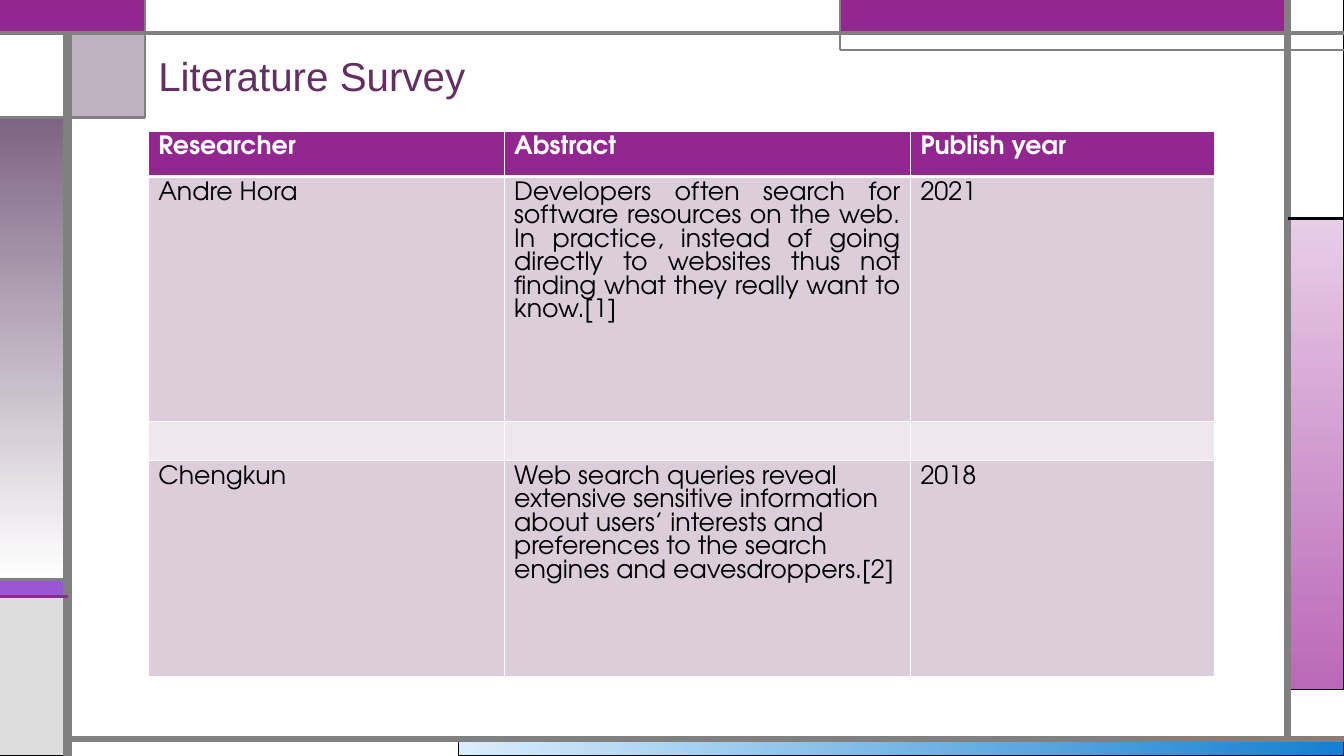
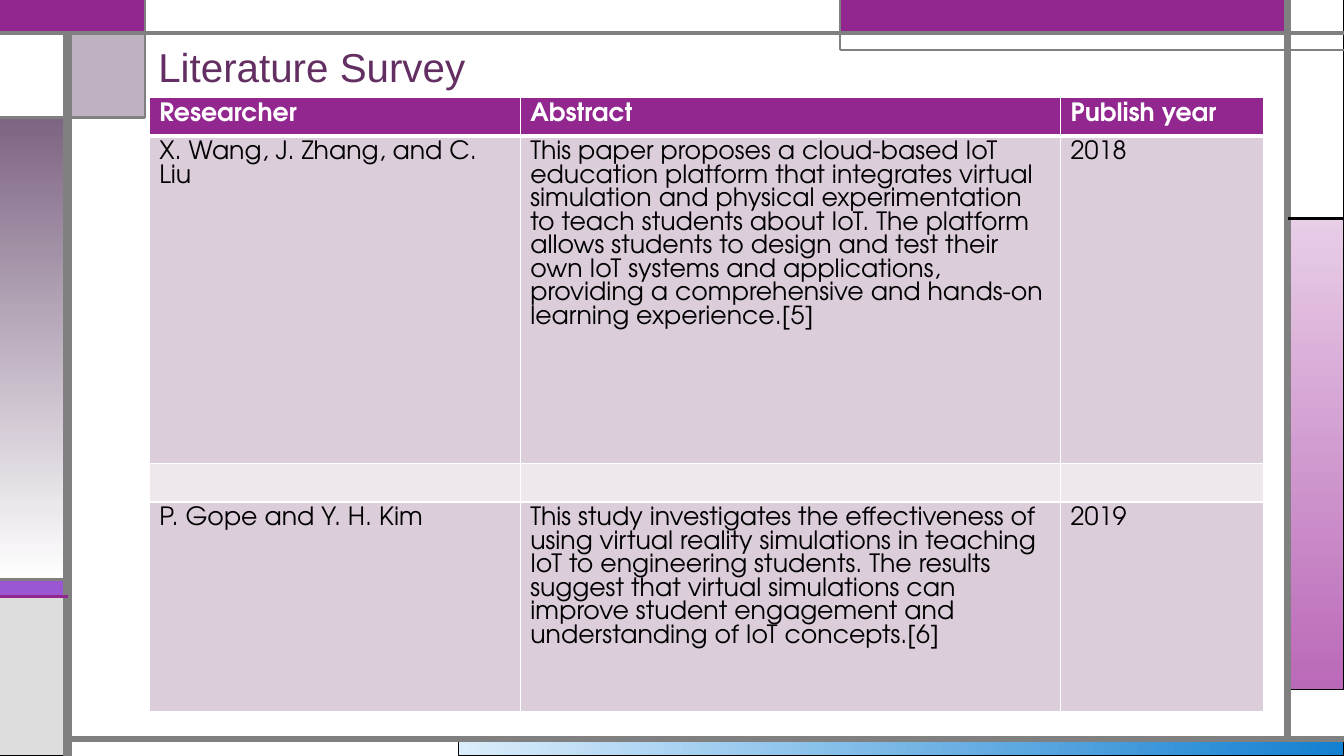
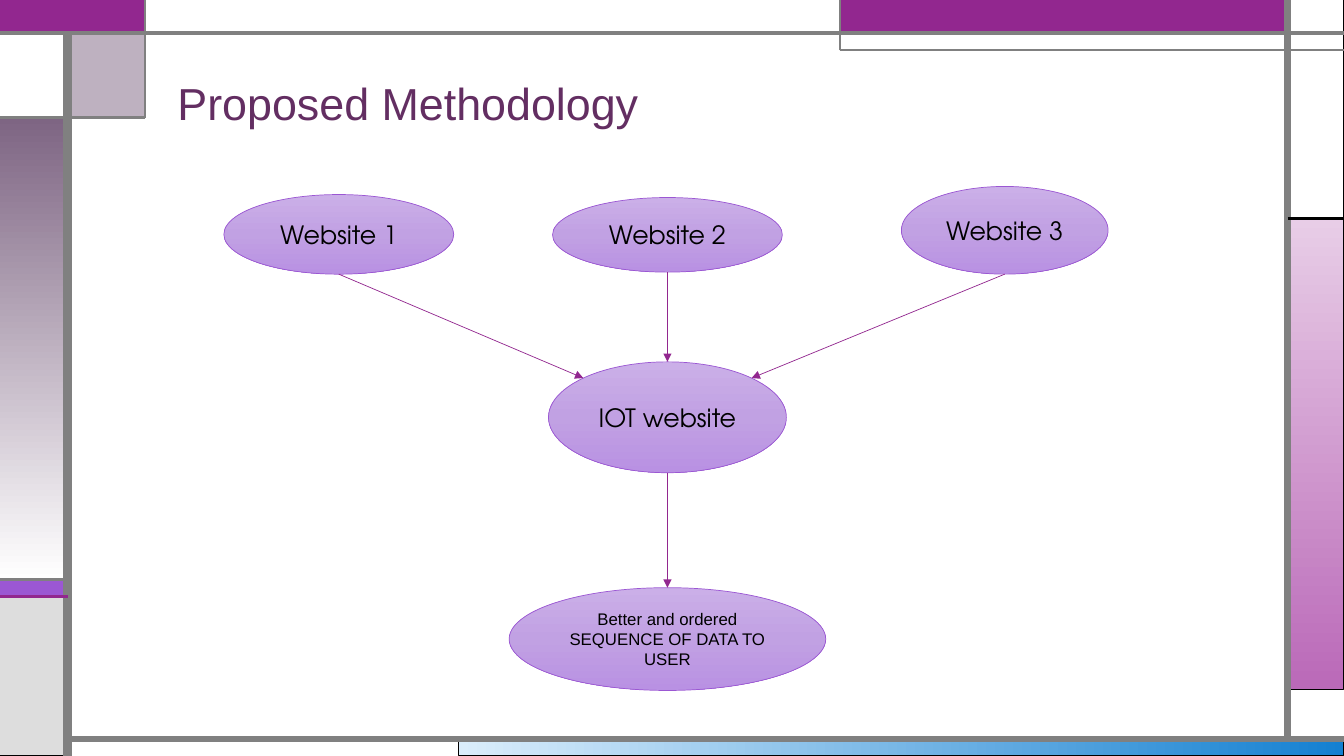
from math import cos, pi, sin

from lxml.etree import SubElement
from pptx import Presentation
from pptx.dml.color import RGBColor
from pptx.enum.shapes import MSO_CONNECTOR as Connector, MSO_SHAPE as Shape
from pptx.enum.text import MSO_ANCHOR as Anchor, MSO_AUTO_SIZE as AutoSize, PP_ALIGN as Align
from pptx.oxml.ns import qn
from pptx.util import Inches, Pt

# Colours
BLACK = RGBColor(0x00, 0x00, 0x00)
WHITE = RGBColor(0xFF, 0xFF, 0xFF)
GREY = RGBColor(0x80, 0x80, 0x80)
LIGHT_GREY = RGBColor(0xDD, 0xDD, 0xDD)
PURPLE = RGBColor(0x92, 0x27, 0x8F)
VIOLET = RGBColor(0x9B, 0x57, 0xD3)
INDIGO = RGBColor(0x75, 0x5D, 0xD9)
MAUVE = RGBColor(0x7E, 0x65, 0x83)
PLUM = RGBColor(0x63, 0x2E, 0x62)
ROW_DARK = RGBColor(0xDC, 0xCD, 0xDB)
ROW_LIGHT = RGBColor(0xEE, 0xE8, 0xEE)
BLUES = [RGBColor(0xDA, 0xED, 0xFB), RGBColor(0x14, 0x80, 0xD1)]
PINKS = [RGBColor(0xE8, 0xCD, 0xE7), RGBColor(0xBA, 0x69, 0xB8)]
LILACS = [RGBColor(0xCB, 0xAF, 0xE8), RGBColor(0xC1, 0xA1, 0xE3), RGBColor(0xB9, 0x91, 0xE3)]

# Fonts
TITLE_FONT = "Arial"
BODY_FONT = "TeX Gyre Adventor"

# Grid of the frame, in inches
WIDTH, HEIGHT = 13.33, 7.5
LEFT, CORNER, SPLIT, RIGHT = 0.67, 1.44, 8.33, 12.77
TOP, SHELF, CORNER_END, BOTTOM = 0.33, 0.5, 1.17, 7.33
RIGHT_BREAK, STRIPE_TOP, STRIPE_END = 2.17, 5.75, 5.92

# Connection sites of an oval, numbered anticlockwise from the top
OVAL_TOP, OVAL_TOP_LEFT, OVAL_BOTTOM, OVAL_TOP_RIGHT = 0, 1, 4, 7

HEADINGS = ["Researcher", "Abstract", "Publish year"]


def style_font(font, name, size, colour, bold=False):
    font.name, font.size, font.bold = name, Pt(size), bold
    font.color.rgb = colour


def fill_gradient(shape, colours, angle):
    """Spread the colours evenly; the angle is clockwise in degrees."""
    shape.fill.gradient()
    gradient = shape.element.spPr.find(qn("a:gradFill"))
    gradient.find(qn("a:lin")).set("ang", str(angle * 60000))
    stops = gradient.find(qn("a:gsLst"))
    for stop in list(stops):
        stops.remove(stop)
    for index, colour in enumerate(colours):
        position = index * 100000 // (len(colours) - 1)
        stop = SubElement(stops, qn("a:gs"), pos=str(position))
        SubElement(stop, qn("a:srgbClr"), val=str(colour))


def add_panel(slide, x1, y1, x2, y2, fill, line=BLACK, weight=0.75, angle=90, alpha=None):
    """Frame rectangle between two corners; a list as fill is a gradient."""
    panel = slide.shapes.add_shape(
        Shape.RECTANGLE, Inches(x1), Inches(y1), Inches(x2 - x1), Inches(y2 - y1))
    panel.shadow.inherit = False
    if isinstance(fill, list):
        fill_gradient(panel, fill, angle)
    else:
        panel.fill.solid()
        panel.fill.fore_color.rgb = fill
    if alpha is not None:
        colour = panel.element.spPr.find(qn("a:solidFill")).find(qn("a:srgbClr"))
        SubElement(colour, qn("a:alpha"), val=str(alpha * 1000))
    panel.line.color.rgb = line
    panel.line.width = Pt(weight)


def add_line(slide, start, end, colour, weight):
    """Straight line between two points given as lengths."""
    line = slide.shapes.add_connector(Connector.STRAIGHT, *start, *end)
    line.line.color.rgb = colour
    line.line.width = Pt(weight)
    SubElement(line.element.spPr, qn("a:effectLst"))
    return line


def draw_frame(slide):
    # Panels, from back to front
    add_panel(slide, 4.55, BOTTOM, WIDTH, HEIGHT, BLUES, angle=0)
    add_panel(slide, RIGHT, RIGHT_BREAK, WIDTH, 6.84, PINKS)
    add_panel(slide, 0, STRIPE_TOP, LEFT, STRIPE_END, VIOLET)
    add_panel(slide, 0, STRIPE_END, LEFT, HEIGHT, LIGHT_GREY)
    add_panel(slide, RIGHT, 0, WIDTH, RIGHT_BREAK, WHITE)
    add_panel(slide, SPLIT, 0, RIGHT, TOP, PURPLE, INDIGO)
    add_panel(slide, LEFT, TOP, CORNER, CORNER_END, MAUVE, alpha=50)
    add_panel(slide, 0, CORNER_END, LEFT, STRIPE_TOP, [MAUVE, WHITE])
    add_panel(slide, 0, TOP, LEFT, CORNER_END, WHITE)
    add_panel(slide, 0, 0, CORNER, TOP, PURPLE, PURPLE, 1.5)
    add_panel(slide, CORNER, 0, SPLIT, TOP, WHITE, GREY)

    # Bars
    for x1, y1, x2, y2, colour, weight in [
        (LEFT, HEIGHT, LEFT, TOP, GREY, 6),
        (LEFT, BOTTOM, WIDTH, BOTTOM, GREY, 4.5),
        (RIGHT, BOTTOM, RIGHT, 0, GREY, 4.5),
        (0, TOP, WIDTH, TOP, GREY, 3),
        (WIDTH, SHELF, SPLIT, SHELF, GREY, 1.5),
        (SPLIT, SHELF, SPLIT, 0, GREY, 1.5),
        (RIGHT, RIGHT_BREAK, WIDTH, RIGHT_BREAK, BLACK, 2.25),
        (CORNER, 0, CORNER, CORNER_END, GREY, 1.5),
        (CORNER, CORNER_END, 0, CORNER_END, GREY, 2.25),
        (LEFT, STRIPE_TOP, 0, STRIPE_TOP, GREY, 2.25),
        (LEFT, STRIPE_END, 0, STRIPE_END, PURPLE, 2.25),
    ]:
        add_line(slide, (Inches(x1), Inches(y1)), (Inches(x2), Inches(y2)), colour, weight)


def move_frame_to_layout(slide, layout):
    """Draw the frame and hand it to the layout, so that every slide shows it."""
    for holder in list(layout.placeholders):
        if holder.placeholder_format.idx != 0:
            holder.element.getparent().remove(holder.element)
    draw_frame(slide)
    for shape in list(slide.shapes):
        if not shape.is_placeholder:
            layout.shapes.element.append(shape.element)


def set_title(slide, text, left, top, width, height, size):
    title = slide.shapes.title
    title.left, title.top = Inches(left), Inches(top)
    title.width, title.height = Inches(width), Inches(height)
    frame = title.text_frame
    frame.text = text
    frame.auto_size = AutoSize.NONE
    frame.vertical_anchor = Anchor.BOTTOM
    para = frame.paragraphs[0]
    para.alignment = Align.LEFT
    para.line_spacing = 0.9
    style_font(para.runs[0].font, TITLE_FONT, size, PLUM)


def set_borders(cell, bottom):
    properties = cell._tc.get_or_add_tcPr()
    for index, (side, weight) in enumerate(
            [("lnL", 1), ("lnR", 1), ("lnT", 1), ("lnB", bottom)]):
        edge = SubElement(properties, qn("a:" + side), w=str(Pt(weight)))
        SubElement(SubElement(edge, qn("a:solidFill")), qn("a:srgbClr"), val=str(WHITE))
        properties.insert(index, edge)


def format_cell(cell, text, row):
    header = row == 0
    cell.text = text
    cell.fill.solid()
    cell.fill.fore_color.rgb = PURPLE if header else ROW_DARK if row % 2 else ROW_LIGHT
    set_borders(cell, 3 if header else 1)
    para = cell.text_frame.paragraphs[0]
    for span in para.runs:
        style_font(span.font, BODY_FONT, 18, WHITE if header else BLACK, header)
    if not text:
        end = SubElement(para._p, qn("a:endParaRPr"), sz="1800")
        SubElement(end, qn("a:latin"), typeface=BODY_FONT)


def add_survey_table(slide, left, top, columns, heights, papers):
    """Two papers with an empty row between them."""
    rows = [HEADINGS, papers[0], [""] * len(HEADINGS), papers[1]]
    table = slide.shapes.add_table(
        len(rows), len(columns), Inches(left), Inches(top),
        Inches(sum(columns)), Inches(sum(heights))).table
    table.horz_banding = False
    for column, width in zip(table.columns, columns):
        column.width = Inches(width)
    for row, height in zip(table.rows, heights):
        row.height = Inches(height)
    for r, texts in enumerate(rows):
        for c, text in enumerate(texts):
            format_cell(table.cell(r, c), text, r)
    return table


def add_node(slide, text, left, top, width, height, font=BODY_FONT, size=18):
    node = slide.shapes.add_shape(
        Shape.OVAL, Inches(left), Inches(top), Inches(width), Inches(height))
    node.shadow.inherit = False
    fill_gradient(node, LILACS, 90)
    node.line.color.rgb = VIOLET
    node.line.width = Pt(0.5)
    frame = node.text_frame
    frame.text = text
    frame.word_wrap = True
    frame.vertical_anchor = Anchor.MIDDLE
    para = frame.paragraphs[0]
    para.alignment = Align.CENTER
    style_font(para.runs[0].font, font, size, BLACK)
    return node


def oval_site(node, site):
    """Point on the outline; the eight sites are 45 degrees apart."""
    angle = site * pi / 4
    return (round(node.left + node.width / 2 * (1 - sin(angle))),
            round(node.top + node.height / 2 * (1 - cos(angle))))


def add_arrow(slide, source, target, target_site):
    """Arrow from the bottom of one oval to a site of another, joined to both."""
    arrow = add_line(slide, oval_site(source, OVAL_BOTTOM),
                     oval_site(target, target_site), PURPLE, 0.5)
    SubElement(arrow.line._get_or_add_ln(), qn("a:tailEnd"), type="triangle")
    # The public connect methods know only the four sites of a rectangle
    arrow._connect_begin_to(source, OVAL_BOTTOM)
    arrow._connect_end_to(target, target_site)


def build_search_survey(slide):
    set_title(slide, "Literature Survey", 1.47, 0.44, 3.43, 0.6, 28.8)
    table = add_survey_table(
        slide, 1.47, 1.3, [3.53, 4.03, 3.02], [0.45, 2.43, 0.39, 2.14],
        [["Andre Hora",
          "Developers often search for software resources on the web. In practice, "
          "instead of going directly to websites thus not finding what they really "
          "want to know.[1]",
          "2021"],
         ["Chengkun",
          "Web search queries reveal extensive sensitive information about users’ "
          "interests and preferences to the search engines and eavesdroppers.[2]",
          "2018"]])
    table.cell(1, 1).text_frame.paragraphs[0].alignment = Align.JUSTIFY


def build_education_survey(slide):
    set_title(slide, "Literature Survey", 1.47, 0.36, 3.43, 0.6, 28.8)
    add_survey_table(
        slide, 1.48, 0.97, [3.68, 5.36, 2.01], [0.38, 3.25, 0.38, 2.08],
        [["X. Wang, J. Zhang, and C. Liu",
          "This paper proposes a cloud-based IoT education platform that integrates "
          "virtual simulation and physical experimentation to teach students about "
          "IoT. The platform allows students to design and test their own IoT systems "
          "and applications, providing a comprehensive and hands-on learning "
          "experience.[5]",
          "2018"],
         ["P. Gope and Y. H. Kim",
          "This study investigates the effectiveness of using virtual reality "
          "simulations in teaching IoT to engineering students. The results suggest "
          "that virtual simulations can improve student engagement and understanding "
          "of IoT concepts.[6]",
          "2019"]])


def build_methodology(slide):
    set_title(slide, "Proposed Methodology", 1.66, 0.58, 10.5, 0.76, 32)
    # Sources, then hub and result on the axis of the middle source
    middle = add_node(slide, "Website 2", 5.48, 1.96, 2.28, 0.74)
    first = add_node(slide, "Website 1", 2.22, 1.93, 2.28, 0.79)
    third = add_node(slide, "Website 3", 8.94, 1.85, 2.05, 0.87)
    hub = add_node(slide, "IOT website", 5.44, 3.59, 2.36, 1.1)
    result = add_node(slide, "Better and ordered SEQUENCE OF DATA TO USER",
                      5.05, 5.83, 3.14, 1.02, TITLE_FONT, 12)
    # Flow arrows
    add_arrow(slide, first, hub, OVAL_TOP_LEFT)
    add_arrow(slide, third, hub, OVAL_TOP_RIGHT)
    add_arrow(slide, middle, hub, OVAL_TOP)
    add_arrow(slide, hub, result, OVAL_TOP)


def main():
    deck = Presentation()
    deck.slide_width, deck.slide_height = Inches(WIDTH), Inches(HEIGHT)
    layout = deck.slide_layouts[5]
    slides = [deck.slides.add_slide(layout) for _ in range(3)]
    move_frame_to_layout(slides[0], layout)
    build_search_survey(slides[0])
    build_education_survey(slides[1])
    build_methodology(slides[2])
    deck.save("out.pptx")


if __name__ == "__main__":
    main()
